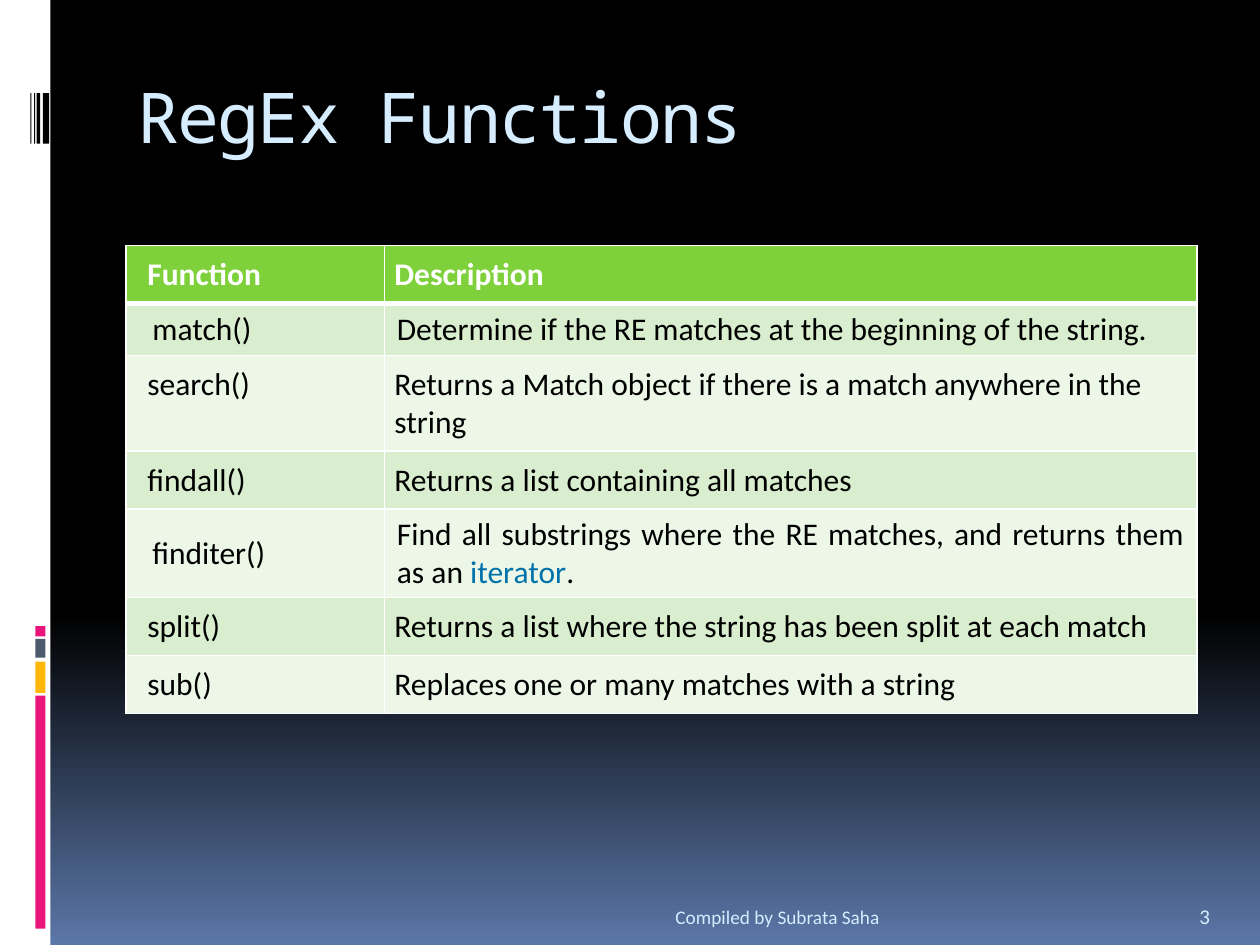
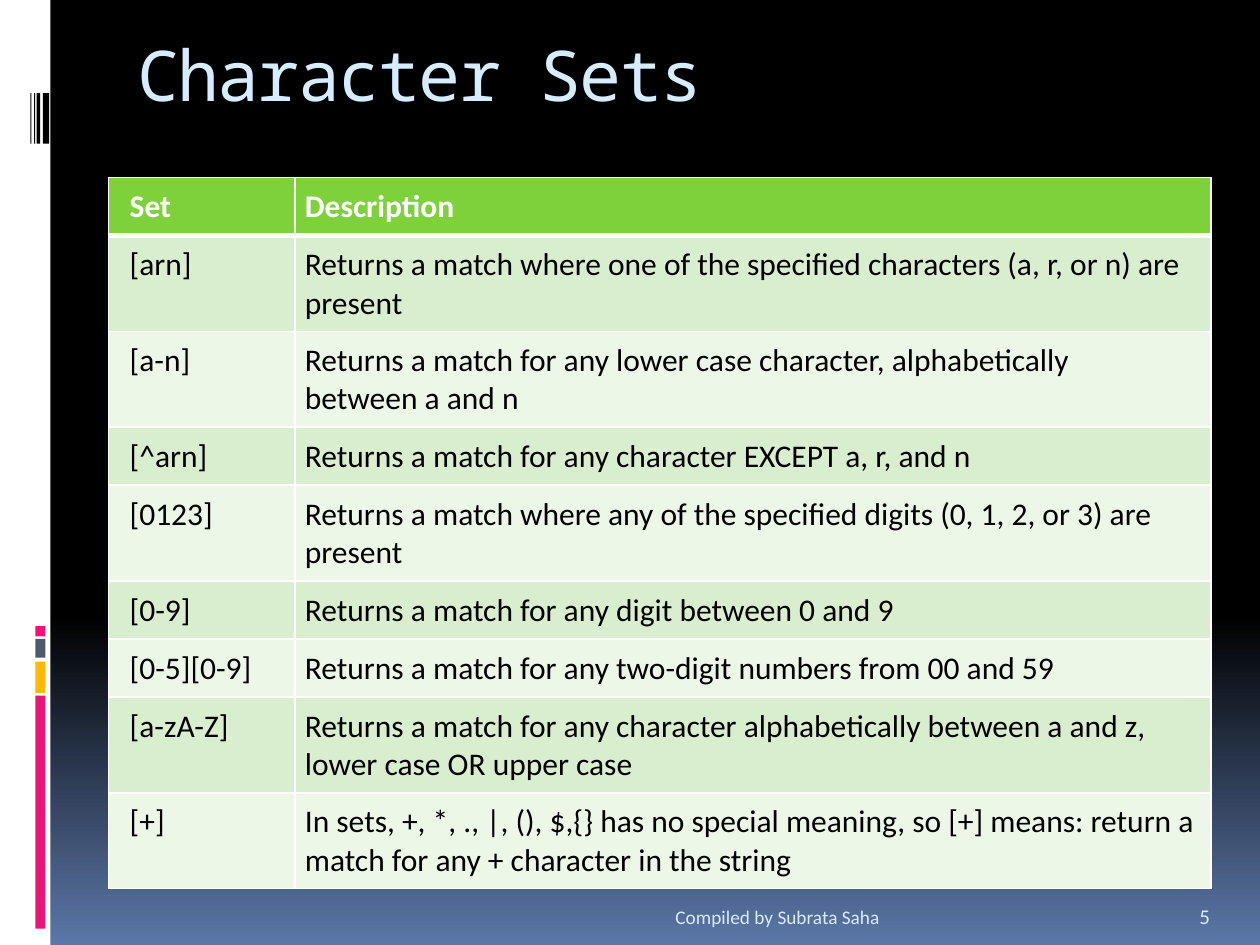
"""Build two slides of regular expression reference tables."""
from typing import NamedTuple

from lxml import etree
from pptx import Presentation
from pptx import presentation as pr
from pptx import slide as sl
from pptx import table as tb
from pptx import util as u
from pptx.dml.color import RGBColor
from pptx.enum import shapes as es
from pptx.enum import text as et
from pptx.oxml import ns
from pptx.text import text as tx

WHITE = RGBColor(0xFF, 0xFF, 0xFF)
BLACK = RGBColor(0x00, 0x00, 0x00)
DUSK = RGBColor(0x5B, 0x77, 0xA8)
PINK = RGBColor(0xEA, 0x15, 0x7A)
AMBER = RGBColor(0xFE, 0xB8, 0x0A)
SLATE = RGBColor(0x4E, 0x5B, 0x6F)
ICE = RGBColor(0xD6, 0xEC, 0xFF)
GREEN = RGBColor(0x7F, 0xD1, 0x3B)
BANDS = (RGBColor(0xD8, 0xEE, 0xCE), RGBColor(0xEC, 0xF7, 0xE8))
LINK = RGBColor(0x00, 0x72, 0xAA)

BODY_FONT = "Calibri"
TITLE_FONT = "Noto Sans Mono"
SLIDE_WIDTH, SLIDE_HEIGHT = u.Inches(10), u.Inches(7.5)
COLUMN, ROW = SLIDE_WIDTH / 100, SLIDE_HEIGHT / 75
BOX_INSETS = (1, 0.5, 1, 0.5)
NBSP = chr(160)


class Area(NamedTuple):
    """A rectangle in grid columns and rows."""
    left: float
    top: float
    width: float
    height: float

    def lengths(self) -> tuple[int, int, int, int]:
        """Return the left, top, width and height as slide lengths."""
        return (int(self.left * COLUMN), int(self.top * ROW),
                int(self.width * COLUMN), int(self.height * ROW))


class Bar(NamedTuple):
    """A filled rectangle of the side band."""
    area: Area
    color: RGBColor


class Entry(NamedTuple):
    """One table row, with an optional highlighted word."""
    name: str
    description: str
    justified: bool = False
    accent: str = ""


class Topic(NamedTuple):
    """The content and layout of one slide."""
    title: str
    title_area: Area
    table_area: Area
    name_width: float
    heading: str
    entries: tuple[Entry, ...]
    number: int


SIDE_BARS = (
    Bar(Area(0, 0, 4, 75), WHITE),
    *(Bar(Area(2.8, top, 0.8, height), color) for top, height, color in (
        (55.2, 18.5, PINK), (52.5, 2.5, AMBER), (50.7, 1.5, SLATE), (49.7, 0.8, PINK))),
    *(Bar(Area(left, 7.4, width, 4), BLACK) for left, width in (
        (3.4, 0.5), (2.9, 0.3), (2.7, 0.1), (2.4, 0.1))),
)

TOPICS = (
    Topic("RegEx Functions", Area(10, 5.6, 85, 10), Area(10, 19.5, 85, 37.4), 20.5, "Function", (
        Entry("match()", "Determine if the RE matches at the beginning of the string.", True),
        Entry("search()", "Returns a Match object if there is a match anywhere in the string"),
        Entry("findall()", "Returns a list containing all matches"),
        Entry("finditer()", "Find all substrings where the RE matches, and returns them as an iterator.",
              True, "iterator"),
        Entry("split()", "Returns a list where the string has been split at each match"),
        Entry("sub()", "Replaces one or many matches with a string"),
    ), 3),
    Topic("Character Sets", Area(10, 2.3, 85, 7.8), Area(8.6, 14.1, 87.5, 57), 14.8, "Set", (
        Entry("[arn]", "Returns a match where one of the specified characters (a, r, or n) are present"),
        Entry("[a-n]", "Returns a match for any lower case character, alphabetically "
              + "between a and n".replace(" ", NBSP)),
        Entry("[^arn]", "Returns a match for any character EXCEPT a, r, and n"),
        Entry("[0123]", "Returns a match where any of the specified digits (0, 1, 2, or 3) are present"),
        Entry("[0-9]", "Returns a match for any digit between 0 and 9"),
        Entry("[0-5][0-9]", "Returns a match for any two-digit numbers from 00 and 59"),
        Entry("[a-zA-Z]", "Returns a match for any character alphabetically between a and z, "
              "lower case OR upper case"),
        Entry("[+]", "In sets, +, *, ., |, (), $,{} has no special meaning, so [+] means: "
              "return a match for any + character in the string"),
    ), 5),
)


def write_text(frame: tx.TextFrame, text: str, *, size: float, color: RGBColor,
               font: str = BODY_FONT, bold: bool = False, align: et.PP_ALIGN = et.PP_ALIGN.LEFT,
               accent: str = "", tracking: int = 0) -> None:
    """Write one formatted paragraph, colouring the accent word as a link."""
    para = frame.paragraphs[0]
    para.alignment = align
    for part in text.partition(accent) if accent else (text,):
        span = para.add_run()
        span.text = part
        span.font.size = u.Pt(size)
        span.font.name = font
        span.font.bold = bold
        span.font.color.rgb = LINK if accent and part == accent else color
        if tracking:
            span._r.get_or_add_rPr().set("spc", str(tracking))


def set_insets(target: tx.TextFrame | tb._Cell, insets: tuple[float, ...]) -> None:
    """Set left, top, right and bottom insets in grid units."""
    left, top, right, bottom = insets
    target.margin_left, target.margin_right = int(left * COLUMN), int(right * COLUMN)
    target.margin_top, target.margin_bottom = int(top * ROW), int(bottom * ROW)


def add_text(page: sl.Slide, area: Area, text: str, *, anchor: et.MSO_ANCHOR,
             insets: tuple[float, ...] = BOX_INSETS, **style) -> None:
    """Add a wrapping text box."""
    frame = page.shapes.add_textbox(*area.lengths()).text_frame
    frame.word_wrap = True
    frame.vertical_anchor = anchor
    set_insets(frame, insets)
    write_text(frame, text, **style)


def add_bar(page: sl.Slide, bar: Bar) -> None:
    """Draw one bar of the side band."""
    box = page.shapes.add_shape(es.MSO_SHAPE.RECTANGLE, *bar.area.lengths())
    box.shadow.inherit = False
    box.fill.solid()
    box.fill.fore_color.rgb = bar.color
    box.line.fill.background()


def add_borders(cell: tb._Cell, row: int) -> None:
    """Draw white cell borders, heavier under the heading row."""
    properties = cell._tc.get_or_add_tcPr()
    widths = {"L": 1, "R": 1, "T": 3 if row == 1 else 1, "B": 3 if row == 0 else 1}
    for side, width in widths.items():
        line = etree.SubElement(properties, ns.qn(f"a:ln{side}"), w=str(u.Pt(width)))
        fill = etree.SubElement(line, ns.qn("a:solidFill"))
        etree.SubElement(fill, ns.qn("a:srgbClr"), val=str(WHITE))


def fill_cell(cell: tb._Cell, row: int, column: int, entry: Entry) -> None:
    """Format and write one table cell."""
    add_borders(cell, row)
    cell.fill.solid()
    cell.fill.fore_color.rgb = BANDS[(row - 1) % 2] if row else GREEN
    if entry.justified:
        cell.vertical_anchor = et.MSO_ANCHOR.MIDDLE
        set_insets(cell, (1 if column else 2.1, 0.5, 1, 0.5))
    else:
        set_insets(cell, (0.8 if column else 1.7, 0.8, 0.8, 0.8))
    write_text(cell.text_frame, entry.description if column else entry.name, size=18,
               color=BLACK if row else WHITE, bold=row == 0,
               align=et.PP_ALIGN.JUSTIFY if entry.justified else et.PP_ALIGN.LEFT,
               accent=entry.accent if column else "")


def add_reference_table(page: sl.Slide, topic: Topic) -> None:
    """Add the table of names and descriptions."""
    entries = (Entry(topic.heading, "Description"), *topic.entries)
    holder = page.shapes.add_table(len(entries), 2, *topic.table_area.lengths())
    table = holder.table
    table.horz_banding = False
    widths = (topic.name_width, topic.table_area.width - topic.name_width)
    for column, width in zip(table.columns, widths):
        column.width = int(width * COLUMN)
    for row, entry in enumerate(entries):
        table.rows[row].height = int(4.1 * ROW)
        for column in range(2):
            fill_cell(table.cell(row, column), row, column, entry)
    holder.height = int(topic.table_area.height * ROW)


def paint_background(page: sl.Slide) -> None:
    """Fade the background from black to blue."""
    fill = page.background.fill
    fill.gradient()
    fill.gradient_angle = 270
    for stop, position, color in zip(fill.gradient_stops, (0.65, 1), (BLACK, DUSK)):
        stop.position = position
        stop.color.rgb = color


def add_topic(deck: pr.Presentation, topic: Topic) -> None:
    """Add one complete slide."""
    page = deck.slides.add_slide(deck.slide_layouts[6])
    paint_background(page)
    for bar in SIDE_BARS:
        add_bar(page, bar)
    add_text(page, topic.title_area, topic.title, anchor=et.MSO_ANCHOR.TOP,
             insets=(0.9, 0.2, 0.9, 0.2), size=40, color=ICE, font=TITLE_FONT, tracking=-100)
    add_reference_table(page, topic)
    add_text(page, Area(94.2, 70.2, 5, 4), str(topic.number), anchor=et.MSO_ANCHOR.BOTTOM,
             size=12, color=ICE)
    add_text(page, Area(10, 70.2, 60.8, 4), "Compiled by Subrata Saha",
             anchor=et.MSO_ANCHOR.BOTTOM, size=11, color=ICE, align=et.PP_ALIGN.RIGHT)


def main() -> None:
    """Build and save the deck."""
    deck = Presentation()
    deck.slide_width, deck.slide_height = SLIDE_WIDTH, SLIDE_HEIGHT
    for topic in TOPICS:
        add_topic(deck, topic)
    deck.save("out.pptx")


if __name__ == "__main__":
    main()
